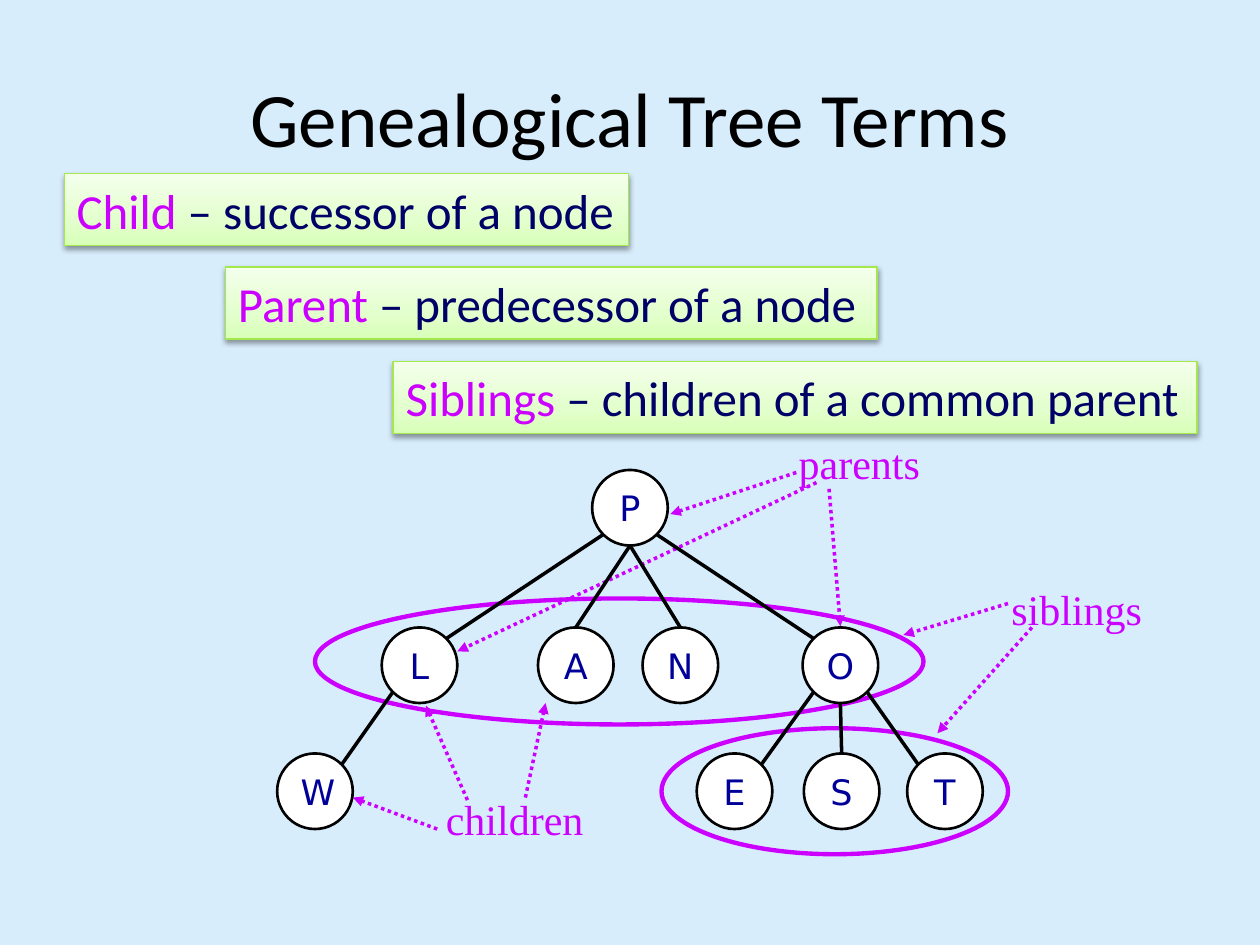
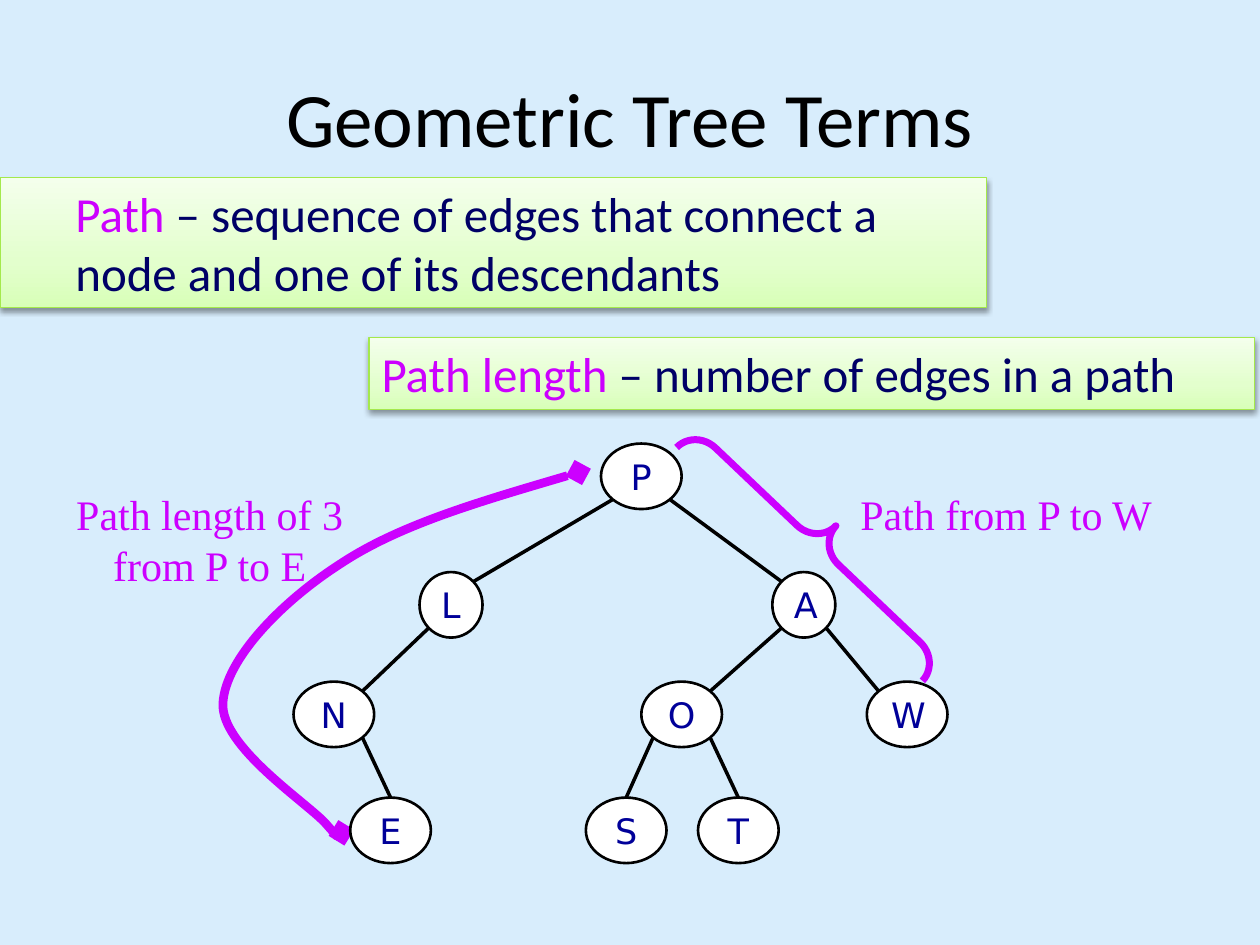
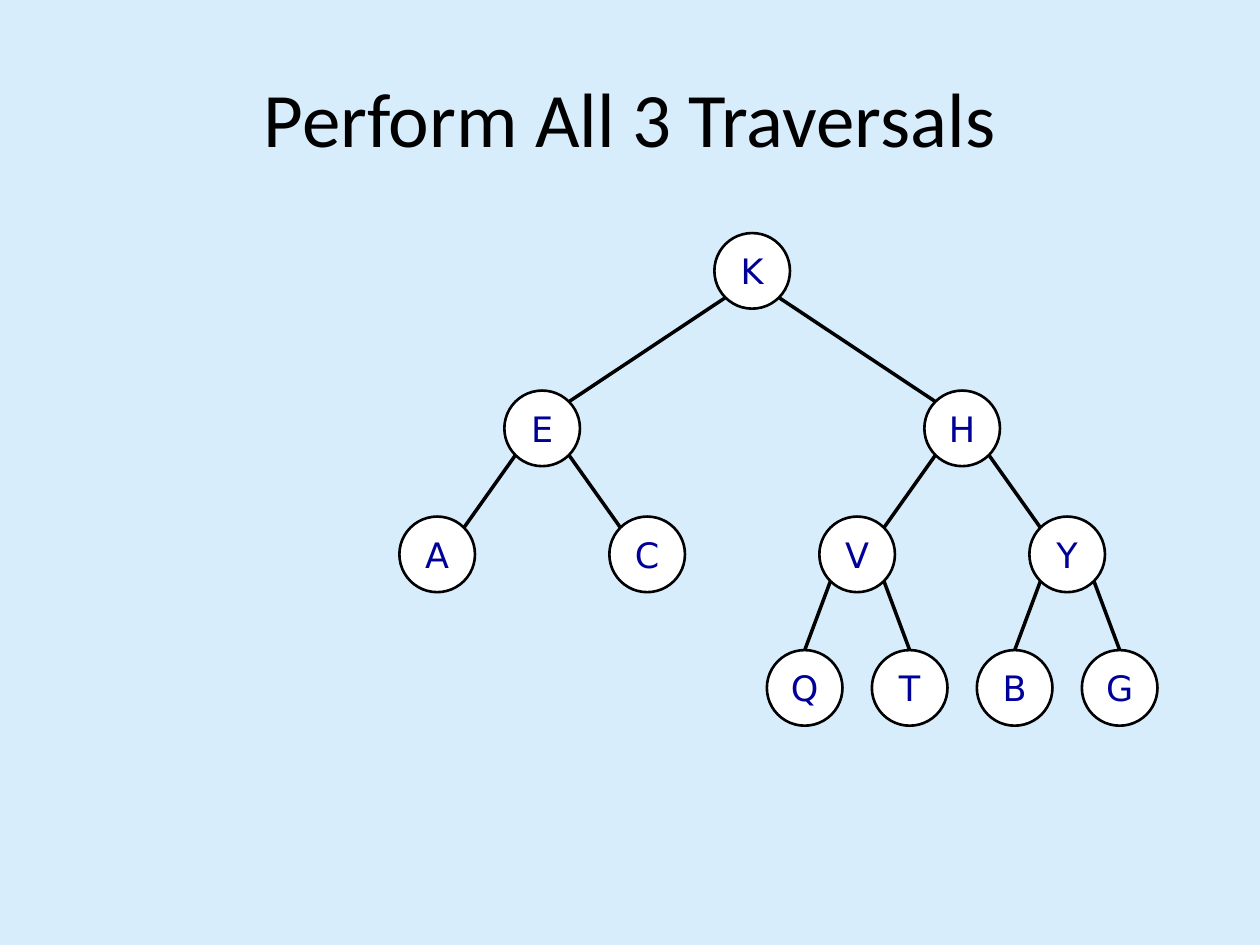
from copy import deepcopy
from dataclasses import dataclass

from lxml import etree
from pptx import Presentation
from pptx.dml.color import RGBColor
from pptx.enum import dml, shapes, text
from pptx.oxml.ns import qn
from pptx.util import Inches, Pt

BACKGROUND, BLACK, WHITE = "D8EDFC", "000000", "FFFFFF"
ACCENT, NAVY, NODE_BLUE = "CC00FF", "000066", "000099"
BANNER_LINE = "A4E94C"
BANNER_STOPS = ((0, "D8FFB8"), (0.35, "E3FFCD"), (1, "F4FFEC"))
TITLE_FONT, NODE_FONT, LABEL_FONT = "Calibri", "DejaVu Sans", "Times New Roman"
CORNER = 0.5 ** 0.5 / 2  # offset of an ellipse's diagonal point, per unit of size
Point = tuple[float, float]


@dataclass
class Node:
    label: str
    left: float
    top: float
    width: float = 0.6
    height: float = 0.6

    def site(self, across: int, down: int) -> Point:
        """Point on the rim; across and down are -1, 0 or 1."""
        reach = CORNER if across else 0.5
        return (self.left + self.width * (0.5 + across * reach),
                self.top + self.height * (0.5 + down * reach))


@dataclass
class Banner:
    term: str
    meaning: str
    box: tuple[float, float, float, float]
    wrap: bool = True
    indent: float = 0


@dataclass
class Label:
    words: str
    box: tuple[float, float, float, float]
    arrows: tuple[tuple[Point, Point], ...] = ()
    align: text.PP_ALIGN = text.PP_ALIGN.CENTER


def color(value: str) -> RGBColor:
    return RGBColor.from_string(value)


def inches(*lengths: float) -> list[int]:
    return [Inches(length) for length in lengths]


def style_font(font, name: str, size: float, value: str) -> None:
    font.name, font.size = name, Pt(size)
    font.color.rgb = color(value)


def style_line(line, value: str, width: float) -> None:
    line.color.rgb = color(value)
    line.width = Pt(width)


def add_line_end(shape, end: str, kind: str) -> None:
    line = shape.line._get_or_add_ln()
    etree.SubElement(line, qn(f"a:{end}End"), type=kind)


def add_title_slide(presentation, title: str):
    slide = presentation.slides.add_slide(presentation.slide_layouts[5])
    shape = slide.shapes.title
    shape.left, shape.top, shape.width, shape.height = inches(0.5, 0.3, 9, 1.25)
    shape.text_frame.text = title
    shape.text_frame.vertical_anchor = text.MSO_ANCHOR.MIDDLE
    paragraph = shape.text_frame.paragraphs[0]
    paragraph.alignment = text.PP_ALIGN.CENTER
    style_font(paragraph.font, TITLE_FONT, 44, BLACK)
    return slide


def add_line(slide, start: Point, end: Point, value: str = BLACK):
    connector = slide.shapes.add_connector(
        shapes.MSO_CONNECTOR.STRAIGHT, *inches(*start, *end))
    style_line(connector.line, value, 2)
    etree.SubElement(connector._element.spPr, qn("a:effectLst"))
    return connector


def add_outline(slide, kind, box, width: float):
    shape = slide.shapes.add_shape(kind, *inches(*box))
    shape.shadow.inherit = False
    shape.fill.background()
    style_line(shape.line, ACCENT, width)
    return shape


def add_label(slide, label: Label) -> None:
    frame = slide.shapes.add_textbox(*inches(*label.box)).text_frame
    frame.word_wrap = True
    frame.auto_size = text.MSO_AUTO_SIZE.SHAPE_TO_FIT_TEXT
    frame.text = label.words
    paragraph = frame.paragraphs[0]
    paragraph.alignment = label.align
    style_font(paragraph.font, LABEL_FONT, 24, ACCENT)
    for start, end in label.arrows:
        arrow = add_line(slide, start, end, ACCENT)
        arrow.line.dash_style = dml.MSO_LINE.ROUND_DOT
        add_line_end(arrow, "tail", "triangle")


def add_node(slide, node: Node) -> None:
    shape = slide.shapes.add_shape(
        shapes.MSO_SHAPE.OVAL, *inches(node.left, node.top, node.width, node.height))
    shape.shadow.inherit = False
    shape.fill.solid()
    shape.fill.fore_color.rgb = color(WHITE)
    style_line(shape.line, BLACK, 1.5)
    shape.text_frame.text = node.label
    shape.text_frame.vertical_anchor = text.MSO_ANCHOR.MIDDLE
    paragraph = shape.text_frame.paragraphs[0]
    paragraph.alignment = text.PP_ALIGN.CENTER
    style_font(paragraph.font, NODE_FONT, 20, NODE_BLUE)


def add_tree(slide, nodes: list[Node], edges: str) -> None:
    """Draw nodes, then edges given as parent-child letter pairs."""
    by_label = {node.label: node for node in nodes}
    for node in nodes:
        add_node(slide, node)
    for parent_label, child_label in edges.split():
        parent, child = by_label[parent_label], by_label[child_label]
        (x1, y1), (x2, y2) = parent.site(0, 0), child.site(0, 0)
        slope = (x2 - x1) / (y2 - y1)
        side = 1 if slope > 0 else -1
        # Steep edges leave from the bottom and arrive at the top
        leaving = side if abs(slope) > 0.36 else 0
        arriving = -side if abs(slope) > 0.6 else 0
        add_line(slide, parent.site(leaving, 1), child.site(arriving, -1))


def add_banner(slide, banner: Banner) -> None:
    shape = slide.shapes.add_shape(shapes.MSO_SHAPE.RECTANGLE, *inches(*banner.box))
    style_line(shape.line, BANNER_LINE, 0.75)
    # Three-stop gradient, light at the top
    shape.fill.gradient()
    shape.fill.gradient_angle = 90
    stop_list = shape._element.spPr.find(".//" + qn("a:gsLst"))
    stop_list.append(deepcopy(stop_list[0]))
    for stop, (position, value) in zip(shape.fill.gradient_stops, BANNER_STOPS):
        stop.position = position
        stop.color.rgb = color(value)
    # Soft shadow below
    shape.shadow.inherit = False
    effects = shape._element.spPr.find(qn("a:effectLst"))
    shadow = etree.SubElement(effects, qn("a:outerShdw"), blurRad="40000",
                              dist="20000", dir="5400000", rotWithShape="0")
    tint = etree.SubElement(shadow, qn("a:srgbClr"), val=BLACK)
    etree.SubElement(tint, qn("a:alpha"), val="38000")
    # Term and its meaning
    frame = shape.text_frame
    frame.word_wrap = banner.wrap
    frame.auto_size = text.MSO_AUTO_SIZE.SHAPE_TO_FIT_TEXT
    frame.vertical_anchor = text.MSO_ANCHOR.TOP
    paragraph = frame.paragraphs[0]
    paragraph.alignment = text.PP_ALIGN.LEFT
    if banner.indent:
        properties = paragraph._p.get_or_add_pPr()
        properties.set("marL", str(Inches(banner.indent)))
        properties.set("indent", "0")
    for words, value in ((banner.term + " ", ACCENT), ("– " + banner.meaning, NAVY)):
        run = paragraph.add_run()
        run.text = words
        style_font(run.font, TITLE_FONT, 28, value)


def add_curve(slide, points: list[Point]):
    """Open Bezier curve: a start, then two controls and an end per piece."""
    start, *others = [tuple(inches(*point)) for point in points]
    builder = slide.shapes.build_freeform(*start)
    builder.add_line_segments(others, close=False)
    shape = builder.convert_to_shape()
    segments = list(shape._element.spPr.iter(qn("a:lnTo")))
    for first in range(0, len(segments), 3):
        piece = segments[first:first + 3]
        curve = etree.Element(qn("a:cubicBezTo"))
        piece[0].addprevious(curve)
        for segment in piece:
            curve.append(segment[0])
            segment.getparent().remove(segment)
    shape.shadow.inherit = False
    shape.fill.background()
    style_line(shape.line, ACCENT, 5)
    for end in ("head", "tail"):
        add_line_end(shape, end, "diamond")


def add_genealogy_slide(presentation) -> None:
    slide = add_title_slide(presentation, "Genealogical Tree Terms")
    for box in ((5.25, 5.78, 2.75, 1), (2.5, 4.75, 4.83, 1)):
        add_outline(slide, shapes.MSO_SHAPE.OVAL, box, 2.5)
    for label in (
        Label("children", (3.42, 6.25, 1.33, 0.5), (
            ((3.71, 6.35), (3.38, 5.6)),
            ((4.17, 6.33), (4.33, 5.58)),
            ((3.47, 6.58), (2.8, 6.33)))),
        Label("parents", (5.82, 3.42, 2, 0.5), (
            ((6.32, 3.75), (5.32, 4.08)),
            ((6.48, 3.83), (3.63, 5.17)),
            ((6.58, 3.88), (6.67, 4.97)))),
        Label("siblings", (7.67, 4.58, 1.75, 0.5), (
            ((8.19, 4.98), (7.44, 5.82)),
            ((8, 4.79), (7.17, 5.04)))),
    ):
        add_label(slide, label)
    rows = {
        3.73: {"P": 4.7},
        4.98: {"L": 3.03, "A": 4.27, "N": 5.1, "O": 6.37},
        5.98: {"W": 2.2, "E": 5.53, "S": 6.38, "T": 7.2},
    }
    nodes = [Node(name, left, top) for top, row in rows.items()
             for name, left in row.items()]
    add_tree(slide, nodes, "PL PA PN PO LW OE OS OT")
    for banner in (
        Banner("Child", "successor of a node", (0.51, 1.38, 4.48, 0.57), wrap=False),
        Banner("Parent", "predecessor of a node", (1.79, 2.12, 5.17, 0.57), wrap=False),
        Banner("Siblings", "children of a common parent", (3.12, 2.87, 6.38, 0.57)),
    ):
        add_banner(slide, banner)


def add_geometry_slide(presentation) -> None:
    slide = add_title_slide(presentation, "Geometric Tree Terms")
    # Brace along the path on the right
    brace = add_outline(slide, shapes.MSO_SHAPE.RIGHT_BRACE, (6.28, 2.98, 0.42, 2.69), 4)
    brace.rotation = 313.5
    brace.adjustments[0] = 0.537
    add_label(slide, Label("Path from P to W", (6.73, 3.83, 2.75, 0.5),
                           align=text.PP_ALIGN.LEFT))
    # Curve along the path on the left
    add_curve(slide, [
        (4.59, 3.75),
        (3.88, 3.96), (3.18, 4.16), (2.71, 4.47),
        (2.24, 4.77), (1.79, 5.23), (1.77, 5.58),
        (1.75, 5.92), (2.42, 6.36), (2.58, 6.53),
        (2.73, 6.7), (2.72, 6.66), (2.71, 6.61),
    ])
    add_label(slide, Label("Path length of 3 from P to E", (0.5, 3.83, 2.33, 0.91)))
    rows = (
        (3.52, 0.64, {"P": 4.77}),
        (4.54, 0.5, {"L": 3.33, "A": 6.13}),
        (5.41, 0.64, {"N": 2.33, "O": 5.09, "W": 6.88}),
        (6.33, 0.64, {"E": 2.78, "S": 4.65, "T": 5.54}),
    )
    nodes = [Node(name, left, top, width, 0.52) for top, width, row in rows
             for name, left in row.items()]
    add_tree(slide, nodes, "PL PA LN AO AW NE OS OT")
    add_banner(slide, Banner(
        "Path", "sequence of edges that connect a node and one of its descendants",
        (0, 1.41, 7.83, 1.03), indent=0.5))
    add_banner(slide, Banner(
        "Path length", "number of edges in a path", (2.93, 2.68, 7.03, 0.57)))


def add_traversal_slide(presentation) -> None:
    slide = add_title_slide(presentation, "Perform All 3 Traversals")
    first_left, step = 3.17, 5 / 12
    # Column number of each node, by row
    rows = {
        1.85: {"K": 6},
        3.1: {"E": 2, "H": 10},
        4.1: {"A": 0, "C": 4, "V": 8, "Y": 12},
        5.16: {"Q": 7, "T": 9, "B": 11, "G": 13},
    }
    nodes = [Node(name, first_left + column * step, top) for top, row in rows.items()
             for name, column in row.items()]
    add_tree(slide, nodes, "KE KH EA EC HV HY VQ VT YB YG")


def main() -> None:
    presentation = Presentation()
    presentation.slide_width, presentation.slide_height = inches(10, 7.5)
    fill = presentation.slide_master.background.fill
    fill.solid()
    fill.fore_color.rgb = color(BACKGROUND)
    add_genealogy_slide(presentation)
    add_geometry_slide(presentation)
    add_traversal_slide(presentation)
    presentation.save("out.pptx")


main()
